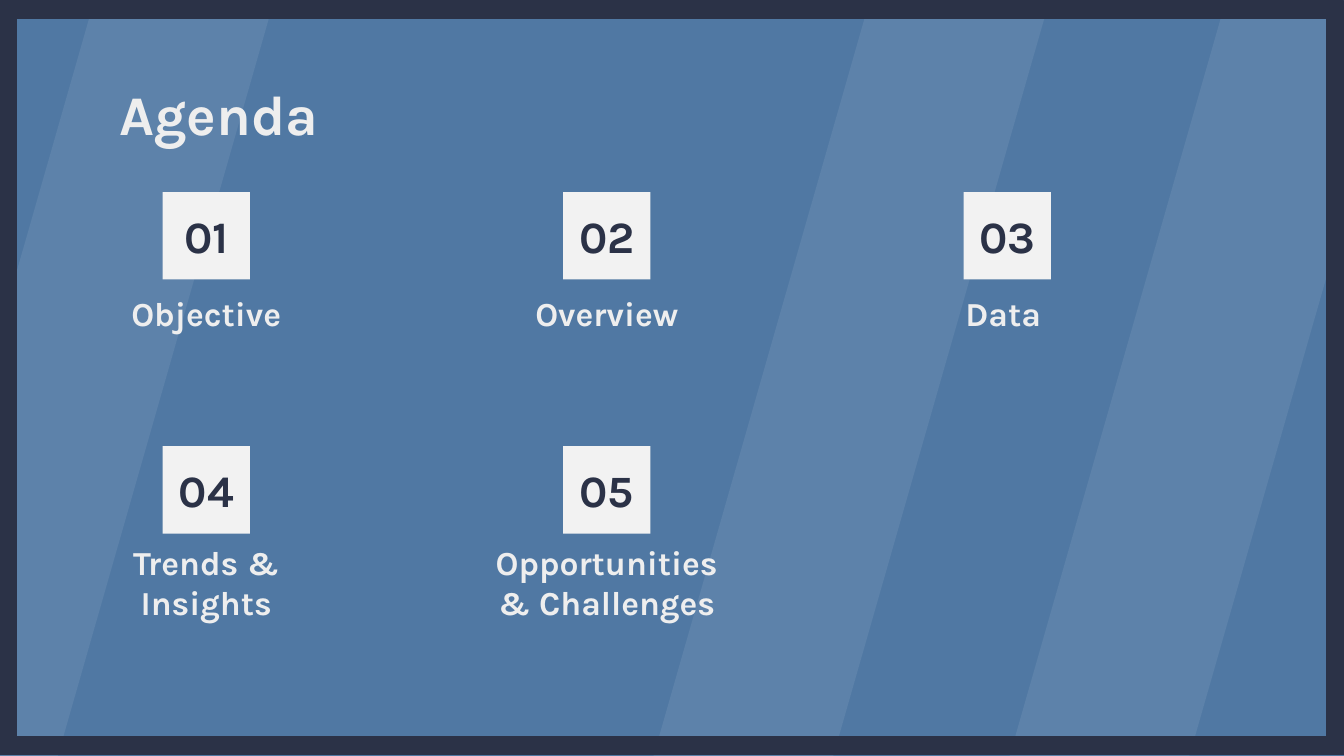
import pptx
import pptx.dml.color
import pptx.enum.shapes
import pptx.enum.text
import pptx.oxml
import pptx.oxml.ns
import pptx.util

Inches = pptx.util.Inches
SHAPE = pptx.enum.shapes.MSO_SHAPE
ALIGN = pptx.enum.text.PP_ALIGN
ANCHOR = pptx.enum.text.MSO_ANCHOR

# Content
TITLE = "Agenda"
# text, label width, label offset from the column centre
ITEMS = [
    ("Objective", 1.5, 0),
    ("Overview", 1.42, 0),
    ("Data", 1.24, -0.03),
    ("Trends & Insights", 1.71, 0),
    ("Opportunities & Challenges", 1.97, 0),
]

THEME = {
    "background": "5078A3", "stripe": "FFFFFF", "frame": "2B3247",
    "tile": "F2F2F2", "number": "2B3247", "text": "EEEEEE",
    "font": "Karla", "title_size": 30, "number_size": 24, "label_size": 18,
}

# Layout in inches, 16:9
W = 10
H = W * 9 / 16
STRIPE_LEFTS = [-0.96, 4.81, 7.46]
BAR = 0.12
FRAME = [(0, 0.01, W, BAR), (0, 0.04, BAR, 5.5),
         (0, 5.49, W, BAR), (W - BAR, 0.04, BAR, 5.5)]
COLUMNS, TILE = 3, 0.65
GRID_LEFT, GRID_TOP = 1.21, 1.43
COLUMN_STEP, ROW_STEP = 2.98, 1.89
# label height and bottom edge of each row
LABEL_ROWS = [(0.48, 2.58), (0.75, 4.73)]


def color(name):
    return pptx.dml.color.RGBColor.from_string(THEME[name])


def add_block(s, kind, box, fill):
    sp = s.shapes.add_shape(kind, *map(Inches, box))
    sp.shadow.inherit = False
    sp.fill.solid()
    sp.fill.fore_color.rgb = color(fill)
    sp.line.fill.background()
    return sp


def set_text(sp, text, size, ink, align, anchor):
    tf = sp.text_frame
    frame_format = {"word_wrap": True, "vertical_anchor": anchor}
    for side in ("left", "right", "top", "bottom"):
        frame_format[f"margin_{side}"] = Inches(0.1)
    for name, value in frame_format.items():
        setattr(tf, name, value)
    p = tf.paragraphs[0]
    p.alignment = align
    r = p.add_run()
    r.text = text
    font_format = {"name": THEME["font"], "bold": True,
                   "size": pptx.util.Pt(THEME[size])}
    for name, value in font_format.items():
        setattr(r.font, name, value)
    r.font.color.rgb = color(ink)


def add_label(s, box, *text_format):
    sp = s.shapes.add_textbox(*map(Inches, box))
    set_text(sp, *text_format)


def main():
    prs = pptx.Presentation()
    prs.slide_width, prs.slide_height = Inches(W), Inches(H)
    s = prs.slides.add_slide(prs.slide_layouts[6])
    s.background.fill.solid()
    s.background.fill.fore_color.rgb = color("background")

    # Slanted translucent stripes
    for left in STRIPE_LEFTS:
        sp = add_block(s, SHAPE.PARALLELOGRAM, (left, -0.14, 3.04, 5.95), "stripe")
        sp.adjustments[0] = 0.56
        rgb = sp.fill._xPr.find(".//" + pptx.oxml.ns.qn("a:srgbClr"))
        alpha = pptx.oxml.parse_xml(
            f'<a:alpha {pptx.oxml.ns.nsdecls("a")} val="8000"/>')
        rgb.append(alpha)

    # Frame
    for box in FRAME:
        sp = add_block(s, SHAPE.RECTANGLE, box, "frame")
        sp.line.color.rgb = color("frame")
        sp.line.width = pptx.util.Pt(1.5)

    # Title
    add_label(s, (0.79, 0.49, 8.43, 0.63), TITLE, "title_size", "text",
              ALIGN.LEFT, ANCHOR.TOP)

    # Numbered tiles with labels
    for i, (text, width, offset) in enumerate(ITEMS):
        row, column = divmod(i, COLUMNS)
        left = GRID_LEFT + column * COLUMN_STEP
        top = GRID_TOP + row * ROW_STEP
        sp = add_block(s, SHAPE.RECTANGLE, (left, top, TILE, TILE), "tile")
        set_text(sp, f"{i + 1:02}", "number_size", "number",
                 ALIGN.CENTER, ANCHOR.MIDDLE)
        height, bottom = LABEL_ROWS[row]
        label_left = left + (TILE - width) / 2 + offset
        add_label(s, (label_left, bottom - height, width, height), text,
                  "label_size", "text", ALIGN.CENTER, ANCHOR.BOTTOM)

    prs.save("out.pptx")


if __name__ == "__main__":
    main()
